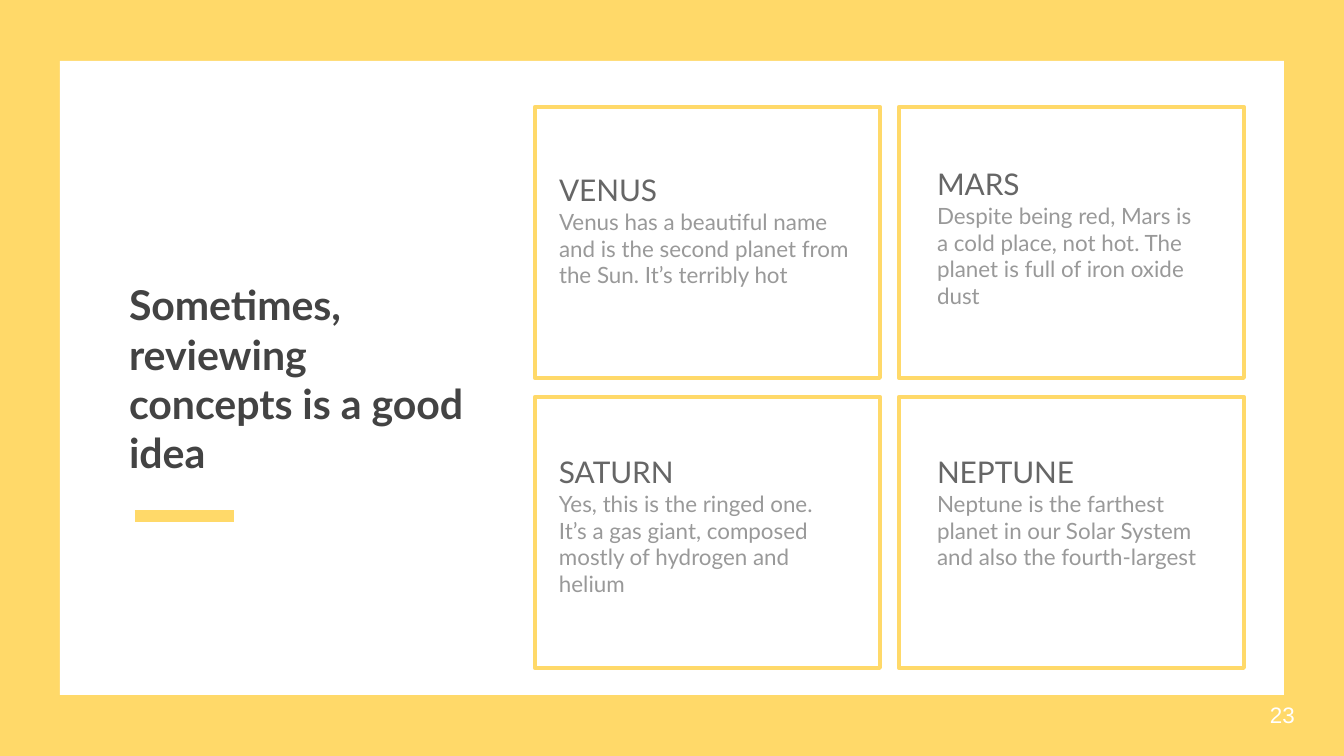
from typing import NamedTuple

from lxml import etree
from pptx import Presentation, util as u
from pptx.dml import color
from pptx.enum import shapes, text
from pptx.oxml import ns

EMU_PER_PX = 914400 / 134.4
COLORS = {
    "yellow": "FFD969",
    "white": "FFFFFF",
    "title": "434343",
    "planet": "666666",
    "fact": "999999",
}
CARD_LEFT, CARD_TOP = 535, 107
CARD_WIDTH, CARD_HEIGHT = 345, 271
COLUMN_STEP, ROW_STEP = 364, 290
INSET = 13


class Box(NamedTuple):
    left: int
    top: int
    width: int
    height: int


class Style(NamedTuple):
    size: int
    color: str
    font: str = "Lato"
    bold: bool = False


class Card(NamedTuple):
    planet: str
    fact: str
    label: Box


TITLE = Style(22, "title", bold=True)
PLANET = Style(16, "planet")
FACT = Style(12, "fact")
NUMBER = Style(12, "white", "Arial")

CARDS = [
    Card("VENUS",
         "Venus has a beautiful name and is the second planet from the Sun. It’s terribly hot",
         Box(546, 159, 319, 167)),
    Card("MARS",
         "Despite being red, Mars is a cold place, not hot. The planet is full of iron oxide dust",
         Box(924, 153, 293, 167)),
    Card("SATURN",
         "Yes, this is the ringed one. It’s a gas giant, composed mostly of hydrogen and helium",
         Box(546, 441, 309, 167)),
    Card("NEPTUNE",
         "Neptune is the farthest planet in our Solar System and also the fourth-largest",
         Box(924, 441, 293, 167)),
]


def px(length: int) -> u.Emu:
    """Turn whole pixels into EMU."""
    return u.Emu(round(length * EMU_PER_PX))


def rgb(name: str) -> color.RGBColor:
    """Look up a named colour."""
    return color.RGBColor.from_string(COLORS[name])


def add_panel(slide, box: Box):
    """Draw a plain rectangle without fill, line or shadow."""
    panel = slide.shapes.add_shape(shapes.MSO_SHAPE.RECTANGLE, *map(px, box))
    panel.shadow.inherit = False
    panel.fill.background()
    panel.line.fill.background()
    return panel


def add_text(slide, box: Box, lines: list[tuple[str, Style]],
             anchor=text.MSO_ANCHOR.TOP) -> None:
    """Write one styled paragraph per line in a wrapping box."""
    frame = slide.shapes.add_textbox(*map(px, box)).text_frame
    frame.word_wrap = True
    frame.vertical_anchor = anchor
    frame.margin_left = frame.margin_right = px(INSET)
    frame.margin_top = frame.margin_bottom = px(INSET)
    frame.text = "\n".join(words for words, _ in lines)
    for paragraph, (_, style) in zip(frame.paragraphs, lines):
        for run in paragraph.runs:
            run.font.name = style.font
            run.font.size = u.Pt(style.size)
            run.font.bold = style.bold
            run.font.color.rgb = rgb(style.color)


def add_accent(slide, left: int, right: int, y: int) -> None:
    """Draw the thick rule below the title."""
    accent = slide.shapes.add_connector(
        shapes.MSO_CONNECTOR.STRAIGHT, px(left), px(y), px(right), px(y))
    accent.line.color.rgb = rgb("yellow")
    accent.line.width = u.Pt(6)
    etree.SubElement(accent._element.spPr, ns.qn("a:effectLst"))


def add_card(slide, index: int, card: Card) -> None:
    """Draw one outlined planet card at its place in the two-column grid."""
    row, column = divmod(index, 2)
    frame = add_panel(slide, Box(CARD_LEFT + column * COLUMN_STEP,
                                 CARD_TOP + row * ROW_STEP,
                                 CARD_WIDTH, CARD_HEIGHT))
    frame.line.color.rgb = rgb("yellow")
    frame.line.width = u.Pt(2.25)
    add_text(slide, card.label, [(card.planet, PLANET), (card.fact, FACT)])


def main() -> None:
    """Build the planet review slide."""
    deck = Presentation()
    deck.slide_width, deck.slide_height = px(1344), px(756)
    slide = deck.slides.add_slide(deck.slide_layouts[6])
    slide.background.fill.solid()
    slide.background.fill.fore_color.rgb = rgb("yellow")

    page = add_panel(slide, Box(60, 61, 1224, 634))
    page.fill.solid()
    page.fill.fore_color.rgb = rgb("white")
    add_accent(slide, 135, 234, 516)

    for index, card in enumerate(CARDS):
        add_card(slide, index, card)

    middle = text.MSO_ANCHOR.MIDDLE
    add_text(slide, Box(1257, 686, 80, 58), [("23", NUMBER)], middle)
    add_text(slide, Box(116, 256, 373, 245),
             [("Sometimes, reviewing concepts is a good idea", TITLE)], middle)
    deck.save("out.pptx")


if __name__ == "__main__":
    main()
